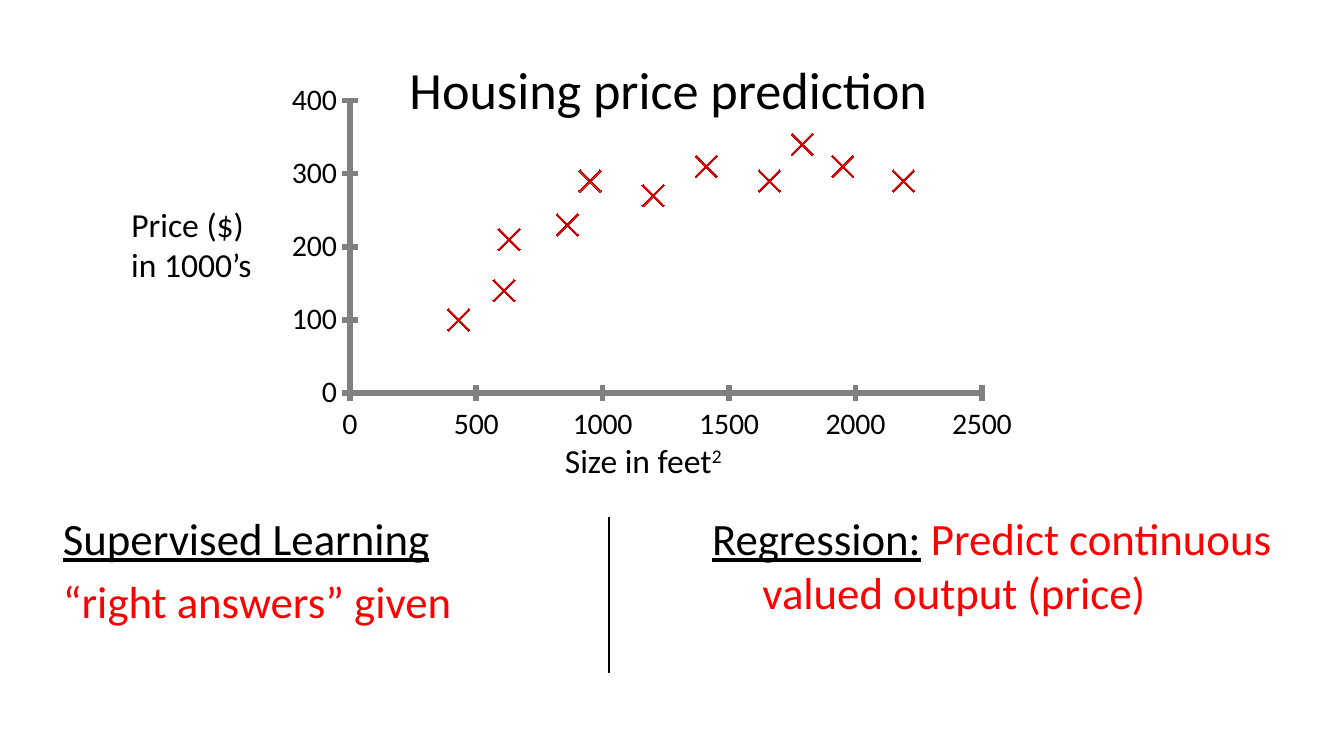
from lxml import etree
from pptx import Presentation
from pptx.chart.data import XyChartData
from pptx.dml.color import RGBColor
from pptx.enum.chart import XL_CHART_TYPE, XL_MARKER_STYLE, XL_TICK_MARK
from pptx.enum.shapes import MSO_CONNECTOR
from pptx.enum.text import MSO_AUTO_SIZE, PP_ALIGN
from pptx.oxml import parse_xml
from pptx.oxml.ns import nsdecls, qn
from pptx.util import Cm, Pt

SCATTER = XL_CHART_TYPE.XY_SCATTER
CROSS_MARKER = XL_MARKER_STYLE.X
CROSS_TICK = XL_TICK_MARK.CROSS
NO_TICK = XL_TICK_MARK.NONE
STRAIGHT = MSO_CONNECTOR.STRAIGHT
FIT_SHAPE = MSO_AUTO_SIZE.SHAPE_TO_FIT_TEXT
CENTER = PP_ALIGN.CENTER

FONT = "Calibri"
BLACK, RED, MARKER_RED, GRAY = "000000", "FF0000", "CC0000", "808080"
HANGING = Cm(0.95)

HOUSES = [
    (430, 100), (610, 140), (630, 210), (860, 230), (950, 290), (1200, 270),
    (1410, 310), (1660, 290), (1790, 340), (1950, 310), (2190, 290),
]


def color(hex_string):
    return RGBColor.from_string(hex_string)


def style_font(font, size, hex_string=BLACK):
    font.name = FONT
    font.size = Pt(size)
    font.color.rgb = color(hex_string)


def add_span(para, text, size, hex_string=BLACK, underline=False, raised=False):
    span = para.add_run()
    span.text = text
    style_font(span.font, size, hex_string)
    if underline:
        span.font.underline = True
    if raised:
        span.font._element.set("baseline", "30000")


def add_text(page, box, size, paragraphs, label=False):
    """Each paragraph is a list of (text, options); labels are centred and unwrapped."""
    frame = page.shapes.add_textbox(*map(Cm, box)).text_frame
    frame.word_wrap = not label
    if label:
        frame.auto_size = FIT_SHAPE
    for index, spans in enumerate(paragraphs):
        para = frame.add_paragraph() if index else frame.paragraphs[0]
        if label:
            para.alignment = CENTER
        else:
            para.space_before = Pt(size * 0.2)
            properties = para._p.get_or_add_pPr()
            properties.set("marL", str(HANGING))
            properties.set("indent", str(-HANGING))
        for text, options in spans:
            add_span(para, text, size, **options)


def set_inner_plot(chart, x, y, width, height):
    area = chart._chartSpace.find(".//" + qn("c:plotArea"))
    for old in area.findall(qn("c:layout")):
        area.remove(old)
    layout = parse_xml(f"<c:layout {nsdecls('c')}><c:manualLayout/></c:layout>")
    values = {"layoutTarget": "inner", "xMode": "edge", "yMode": "edge",
              "x": x, "y": y, "w": width, "h": height}
    for name, value in values.items():
        etree.SubElement(layout[0], qn("c:" + name)).set("val", str(value))
    area.insert(0, layout)


def style_axis(axis, maximum, step):
    axis.minimum_scale, axis.maximum_scale, axis.major_unit = 0, maximum, step
    axis.has_major_gridlines = False
    axis.has_title = False
    axis.major_tick_mark = CROSS_TICK
    axis.minor_tick_mark = NO_TICK
    axis.format.line.color.rgb = color(GRAY)
    axis.format.line.width = Pt(3)
    style_font(axis.tick_labels.font, 16)


def add_price_chart(page, box):
    data = XyChartData(number_format="General")
    houses = data.add_series("Series 1")
    for size, price in HOUSES:
        houses.add_data_point(size, price)
    chart = page.shapes.add_chart(SCATTER, *map(Cm, box), data).chart
    chart.has_legend = False
    chart.has_title = False
    style_font(chart.font, 10)
    style_axis(chart.category_axis, 2500, 500)
    style_axis(chart.value_axis, 400, 100)
    set_inner_plot(chart, 0.136, 0.066, 0.776, 0.759)

    plot = chart.plots[0]
    plot.vary_by_categories = False
    series = plot.series[0]
    series.smooth = False
    series.format.line.fill.background()
    marker = series.marker
    marker.style = CROSS_MARKER
    marker.size = 12
    marker.format.fill.solid()
    marker.format.fill.fore_color.rgb = color(MARKER_RED)
    marker.format.line.color.rgb = color(MARKER_RED)


def add_divider(page, x, top, bottom):
    line = page.shapes.add_connector(STRAIGHT, Cm(x), Cm(top), Cm(x), Cm(bottom))
    line.line.color.rgb = color(BLACK)
    line.line.width = Pt(0.75)
    etree.SubElement(line._element.spPr, qn("a:effectLst"))


def add_plot_region(page, box):
    left, top, width, height = box
    add_price_chart(page, box)
    add_text(page, (left + 2.97, top - 0.46, 11.23, 2.54), 28,
             [[("Housing price prediction", {})]])
    add_text(page, (left - 2.31, top + 2.31, 2.82, 1.8), 18,
             [[("Price ($) ", {})], [("in 1000’s", {})]], label=True)
    add_text(page, (left + 5.84, top + height - 0.51, 3.68, 1.02), 18,
             [[("Size in feet", {}), ("2 ", {"raised": True})]], label=True)


def add_definitions(page, box):
    left, top, width, height = box
    column = 11.43
    add_text(page, (left + width - column, top, column, height), 24,
             [[("Regression:", {"underline": True}), (" ", {}),
               ("Predict continuous valued output (price)", {"hex_string": RED})]])
    add_text(page, (left, top, column, height), 24,
             [[("Supervised Learning", {"underline": True})],
              [("“right answers” given", {"hex_string": RED})]])
    add_divider(page, left + 10.57, top + 0.25, top + 3.2)


def main():
    deck = Presentation()
    deck.slide_width, deck.slide_height = Cm(25.4), Cm(14.29)
    page = deck.slides.add_slide(deck.slide_layouts[6])
    add_plot_region(page, (4.52, 1.42, 15.39, 7.29))
    add_definitions(page, (0.94, 9.53, 23.7, 2.54))
    deck.save("out.pptx")


if __name__ == "__main__":
    main()
